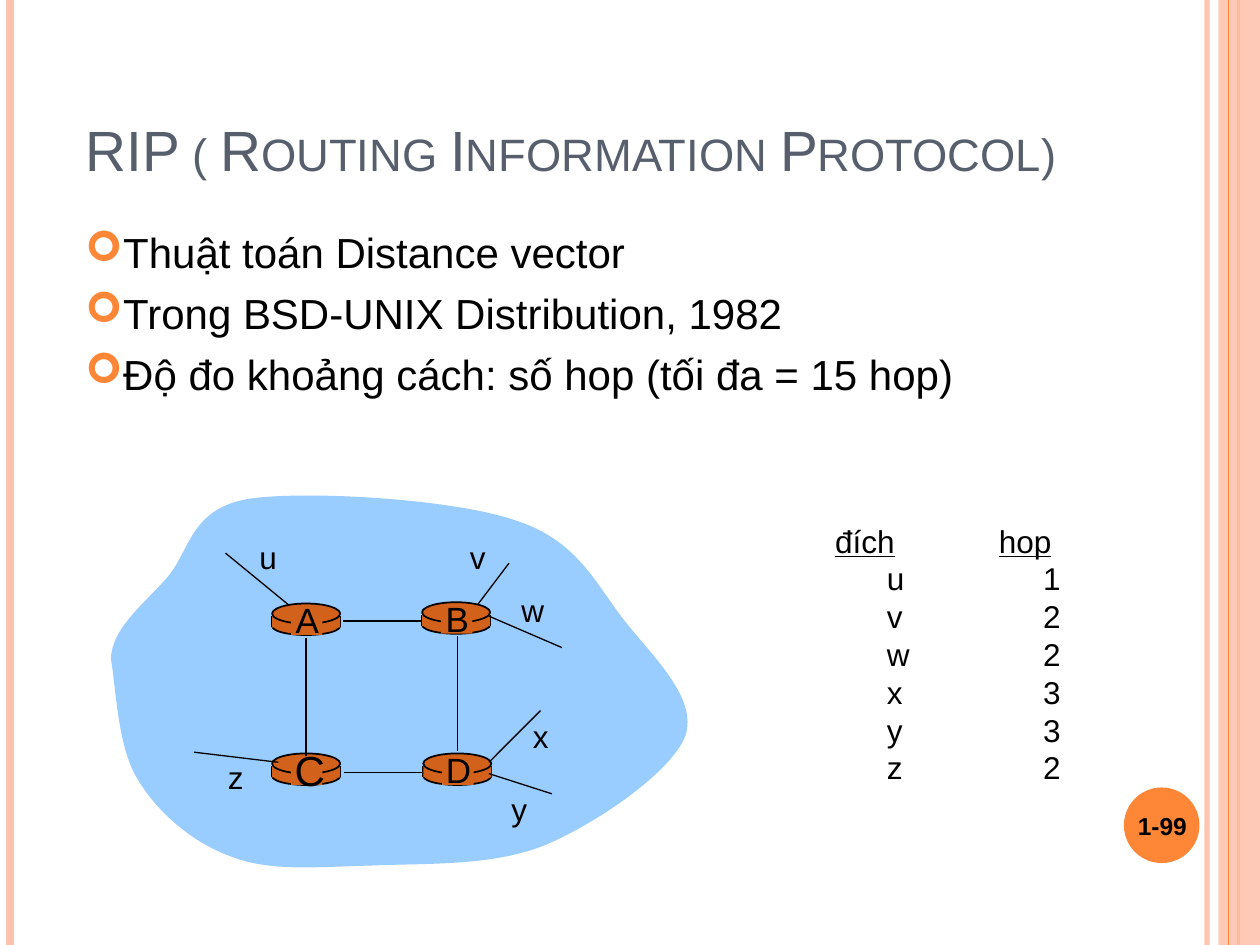
from dataclasses import dataclass
from lxml import etree
from pptx import Presentation
from pptx.dml.color import RGBColor
from pptx.enum.shapes import MSO_CONNECTOR as CONN, MSO_SHAPE as SHAPE
from pptx.enum.text import MSO_ANCHOR as ANCHOR, PP_ALIGN as ALIGN
from pptx.oxml.ns import qn
from pptx.util import Inches, Pt


@dataclass(frozen=True)
class Theme:
    """Colours, fonts and type sizes of the slide."""
    font: str = "Arial"
    bullet_font: str = "Wingdings"
    ink: str = "000000"
    title: str = "575F6D"
    accent: str = "FE8637"
    pale: str = "FEC2AC"
    cloud: str = "99CCFF"
    router: str = "D2611C"
    title_size: float = 32.4
    body_size: float = 24
    router_size: float = 20
    label_size: float = 18
    number_size: float = 14


T = Theme()


def rgb(code):
    """Turn a hex code into a colour."""
    return RGBColor.from_string(code)


def set_alpha(fill, percent):
    """Make a solid fill partly transparent."""
    color = fill._xPr.find(qn("a:solidFill"))[0]
    etree.SubElement(color, qn("a:alpha")).set("val", str(percent * 1000))


def paint(sp, fill, line=None):
    """Give a shape its fill and outline and drop the shadow."""
    sp.shadow.inherit = False
    sp.fill.solid()
    sp.fill.fore_color.rgb = rgb(fill)
    if line:
        sp.line.color.rgb = rgb(line)
        sp.line.width = Pt(1)
    else:
        sp.line.fill.background()
    return sp


def add_shape(s, kind, box, fill, line=None):
    """Add a painted preset shape."""
    return paint(s.shapes.add_shape(kind, *map(Inches, box)), fill, line)


def add_line(s, x1, y1, x2, y2, color=T.ink, width=1):
    """Add a straight line without a shadow."""
    line = s.shapes.add_connector(CONN.STRAIGHT, *map(Inches, (x1, y1, x2, y2)))
    line.line.color.rgb = rgb(color)
    line.line.width = Pt(width)
    etree.SubElement(line._element.spPr, qn("a:effectLst"))
    return line


def style(p, size, color=T.ink, bold=False):
    """Format every run of a paragraph."""
    for r in p.runs:
        r.font.name, r.font.size, r.font.bold = T.font, Pt(size), bold
        r.font.color.rgb = rgb(color)


def add_text(s, box, text, size, color=T.ink, anchor=ANCHOR.TOP,
             align=ALIGN.LEFT, bold=False, wrap=True):
    """Add a text box with one paragraph per line of text."""
    tf = s.shapes.add_textbox(*map(Inches, box)).text_frame
    tf.word_wrap, tf.vertical_anchor = wrap, anchor
    tf.text = text
    for p in tf.paragraphs:
        p.alignment = align
        style(p, size, color, bold)
    return tf


def add_frame(s, width, height):
    """Draw the vertical stripes at both edges of the slide."""
    edge = add_line(s, 9.58, 0, 9.58, height, T.pale, 3)
    set_alpha(edge.line.fill, 93)
    add_line(s, 0.08, 0, 0.08, height, T.pale, 4.5)
    add_line(s, 9.83, 0, 9.83, height, T.accent, 1.5)
    band = add_shape(s, SHAPE.RECTANGLE, (9.67, 0, width - 9.67, height), T.pale)
    set_alpha(band.fill, 87)
    add_line(s, 9.75, 0, 9.75, height, T.accent, 0.75)


def add_title(s, box, text):
    """Write the title in small capitals."""
    tf = add_text(s, box, text, T.title_size, T.title, ANCHOR.BOTTOM)
    tf.paragraphs[0].runs[0].font._element.set("cap", "small")


def add_bullets(s, box, items):
    """Write the list with ring bullets from the symbol font."""
    tf = add_text(s, box, "\n".join(items), T.body_size)
    for i, p in enumerate(tf.paragraphs):
        if i:
            p.space_before = Pt(6)
        pPr = p._p.get_or_add_pPr()
        pPr.set("marL", str(Inches(0.3)))
        pPr.set("indent", str(-Inches(0.3)))
        color = etree.SubElement(pPr, qn("a:buClr"))
        etree.SubElement(color, qn("a:srgbClr")).set("val", T.accent)
        font = etree.SubElement(pPr, qn("a:buFont"))
        font.set("typeface", T.bullet_font)
        font.set("pitchFamily", "2")
        font.set("charset", "2")
        etree.SubElement(pPr, qn("a:buChar")).set("char", "¢")


def add_page_number(s, box, text):
    """Draw the page number on its disc."""
    add_shape(s, SHAPE.OVAL, box, T.accent)
    x, y, w, h = box
    add_text(s, (x - 0.03, y + 0.02, w + 0.07, h - 0.03), text, T.number_size,
             anchor=ANCHOR.MIDDLE, align=ALIGN.CENTER, bold=True)


def add_cloud(s, x, y):
    """Draw the curved network area from cubic control points."""
    points = [
        (0.01, 1.09), (0.27, 0.9), (0.45, 0.69),
        (0.63, 0.48), (0.63, 0.15), (1.09, 0.07),
        (1.55, 0), (2.72, 0.07), (3.21, 0.24),
        (3.71, 0.4), (3.85, 0.75), (4.08, 1.04),
        (4.3, 1.32), (4.66, 1.65), (4.56, 1.95),
        (4.45, 2.24), (3.85, 2.65), (3.44, 2.82),
        (3.02, 2.99), (2.47, 2.96), (2.06, 2.98),
        (1.64, 2.99), (1.27, 3.03), (0.96, 2.91),
        (0.65, 2.8), (0.37, 2.56), (0.21, 2.29),
        (0.05, 2.03), (0.04, 1.54), (0, 1.34)]
    fb = s.shapes.build_freeform(Inches(x), Inches(y + 1.34))
    fb.add_line_segments([(Inches(x + dx), Inches(y + dy)) for dx, dy in points])
    cloud = paint(fb.convert_to_shape(), T.cloud)
    steps = list(cloud._element.iter(qn("a:lnTo")))
    for i in range(0, len(points), 3):
        curve = etree.Element(qn("a:cubicBezTo"))
        steps[i].addprevious(curve)
        for step in steps[i:i + 3]:
            curve.append(step[0])
            step.getparent().remove(step)


def add_router(s, x, y, name, size):
    """Draw a router as a flat cylinder with its name."""
    w = 0.54
    add_shape(s, SHAPE.OVAL, (x, y + 0.11, w, 0.14), T.router, T.ink)
    for side in (x, x + w):
        add_line(s, side, y + 0.1, side, y + 0.19)
    add_shape(s, SHAPE.RECTANGLE, (x, y + 0.1, w, 0.09), T.router)
    add_shape(s, SHAPE.OVAL, (x, y, w, 0.16), T.router, T.ink)
    add_shape(s, SHAPE.RECTANGLE, (x + 0.15, y + 0.02, 0.25, 0.23), T.router)
    add_text(s, (x + 0.08, y - 0.09, 0.4, 0.43), name, size,
             anchor=ANCHOR.MIDDLE, align=ALIGN.CENTER, wrap=False)


def add_network(s, x, y):
    """Draw the cloud, four routers, their links and the subnets."""
    add_cloud(s, x, y)
    for dx, dy, name, size in [
            (1.28, 0.9, "A", T.router_size), (2.47, 0.89, "B", T.router_size),
            (1.28, 2.09, "C", T.body_size), (2.48, 2.09, "D", T.router_size)]:
        add_router(s, x + dx, y + dy, name, size)
    for x1, y1, x2, y2 in [(2.75, 1.16, 2.75, 2.07), (1.55, 1.17, 1.55, 2.11),
                           (2.48, 2.24, 1.85, 2.24), (2.47, 1.04, 1.84, 1.04)]:
        add_line(s, x + x1, y + y1, x + x2, y + y2)
    for name, x1, y1, x2, y2, tx, ty in [
            ("u", 1.41, 0.91, 0.91, 0.5, 1.08, 0.33),
            ("v", 2.91, 0.91, 3.16, 0.58, 2.75, 0.33),
            ("w", 3, 1, 3.58, 1.25, 3.16, 0.75),
            ("x", 3, 2.16, 3.41, 1.75, 3.25, 1.75),
            ("y", 3, 2.25, 3.5, 2.41, 3.08, 2.33),
            ("z", 1.33, 2.16, 0.66, 2.08, 0.83, 2.08)]:
        add_line(s, x + x1, y + y1, x + x2, y + y2, width=0.75)
        add_text(s, (x + tx, y + ty, 0.38, 0.4), name, T.label_size, wrap=False)


def add_hops(s, box, head, hops):
    """List the hop count of each destination in tabbed columns."""
    rows = "\n".join(f"\t{name}\t{hop}" for name, hop in hops)
    tf = add_text(s, box, "\n" + rows, T.label_size)
    for i, text in enumerate((head[0], "\t", head[1])):
        r = tf.paragraphs[0].add_run()
        r.text, r.font.underline = text, i != 1
    style(tf.paragraphs[0], T.label_size)
    for i, p in enumerate(tf.paragraphs):
        tabs = etree.SubElement(p._p.get_or_add_pPr(), qn("a:tabLst"))
        for stop in (0.41, 1.65) if i else (1.3,):
            tab = etree.SubElement(tabs, qn("a:tab"))
            tab.set("pos", str(Inches(stop)))
            tab.set("algn", "l")


def main():
    """Build the slide and save it."""
    prs = Presentation()
    prs.slide_width, prs.slide_height = Inches(10), Inches(7.5)
    s = prs.slides.add_slide(prs.slide_layouts[6])
    add_frame(s, 10, 7.5)
    add_title(s, (0.58, 0.25, 8.94, 1.25), "RIP ( Routing Information Protocol)")
    add_bullets(s, (0.58, 1.75, 9, 1.85), [
        "Thuật toán Distance vector", "Trong BSD-UNIX Distribution, 1982",
        "Độ đo khoảng cách: số hop (tối đa = 15 hop)"])
    add_page_number(s, (8.92, 6.25, 0.6, 0.6), "1-99")
    add_network(s, 0.88, 3.89)
    add_hops(s, (6.53, 4.09, 2.01, 2.5), ("đích", "hop"), zip("uvwxyz", (1, 2, 2, 3, 3, 2)))
    prs.save("out.pptx")


if __name__ == "__main__":
    main()
